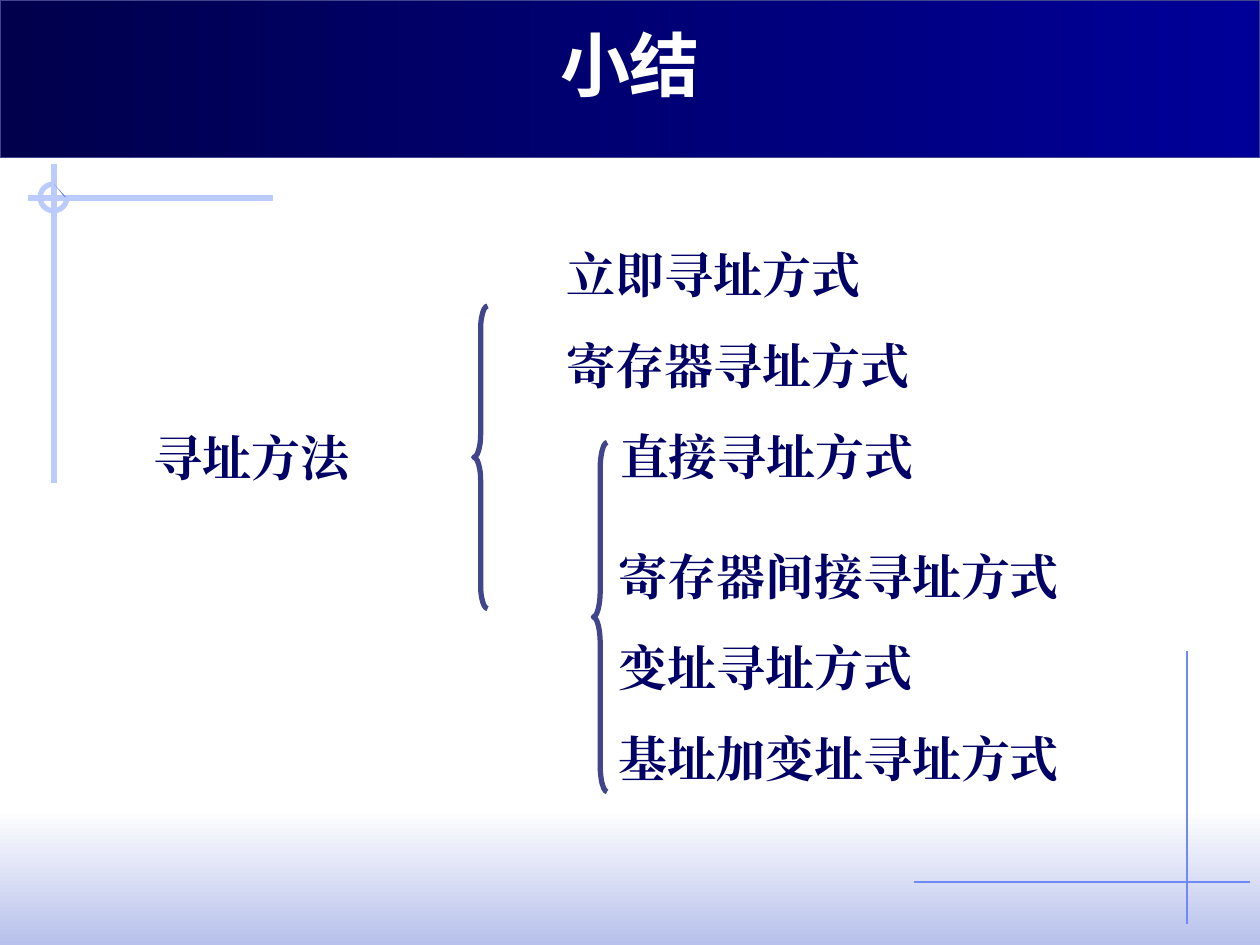
from lxml.etree import SubElement
from pptx import Presentation
from pptx.dml.color import RGBColor
from pptx.enum.shapes import MSO_CONNECTOR, MSO_SHAPE
from pptx.enum.text import MSO_ANCHOR, MSO_AUTO_SIZE, PP_ALIGN
from pptx.oxml.ns import qn
from pptx.util import Cm, Pt

WHITE = RGBColor(0xFF, 0xFF, 0xFF)
MIST = RGBColor(0xB7, 0xC1, 0xEB)
PALE = RGBColor(0xBB, 0xCB, 0xFD)
SKY = RGBColor(0x6F, 0x89, 0xF7)
SLATE = RGBColor(0x40, 0x45, 0x8C)
INK = RGBColor(0x00, 0x00, 0x66)
MIDNIGHT = RGBColor(0x00, 0x00, 0x4D)
NAVY = RGBColor(0x00, 0x00, 0x99)

TITLE_FONT = "Noto Sans CJK JP"
BODY_FONT = "Times New Roman"
WIDTH, HEIGHT = 25.4, 19.05
CHAR_WIDTH, LABEL_HEIGHT = 1.14, 1.19
ROW_PITCH = 1.83


class SlideBuilder:
    body_size = 28
    title_size = 40

    def __init__(self, prs):
        self.slide = prs.slides.add_slide(prs.slide_layouts[5])
        self.shapes = self.slide.shapes

    def run(self, p, text, size, font, color):
        r = p.add_run()
        r.text = text
        r.font.size, r.font.name, r.font.bold = Pt(size), font, True
        r.font.color.rgb = color
        SubElement(r.font._element, qn("a:ea")).set("typeface", font)

    def title(self, text, x, y, w, h):
        sp = self.shapes.title
        sp.left, sp.top, sp.width, sp.height = Cm(x), Cm(y), Cm(w), Cm(h)
        # bring the title in front of the header band
        self.shapes._spTree.append(sp._element)
        tf = sp.text_frame
        tf.auto_size = MSO_AUTO_SIZE.NONE
        tf.vertical_anchor = MSO_ANCHOR.MIDDLE
        p = tf.paragraphs[0]
        p.alignment = PP_ALIGN.CENTER
        self.run(p, text, self.title_size, TITLE_FONT, WHITE)

    def label(self, text, x, y):
        sp = self.shapes.add_textbox(Cm(x), Cm(y), Cm(CHAR_WIDTH * len(text)),
                                     Cm(LABEL_HEIGHT))
        tf = sp.text_frame
        tf.word_wrap = True
        tf.auto_size = MSO_AUTO_SIZE.SHAPE_TO_FIT_TEXT
        tf.margin_left = tf.margin_right = tf.margin_top = tf.margin_bottom = 0
        self.run(tf.paragraphs[0], text, self.body_size, BODY_FONT, INK)

    def band(self, y, h, start, end, angle, border=None):
        """Full-width rectangle with a two-colour gradient."""
        sp = self.shapes.add_shape(MSO_SHAPE.RECTANGLE, 0, Cm(y), Cm(WIDTH), Cm(h))
        sp.shadow.inherit = False
        sp.fill.gradient()
        sp.fill.gradient_angle = angle
        for stop, color, position in zip(sp.fill.gradient_stops, (start, end), (0, 1)):
            stop.color.rgb = color
            stop.position = position
        if border is None:
            sp.line.fill.background()
        else:
            sp.line.color.rgb, sp.line.width = border, Pt(0.75)

    def outline(self, kind, x, y, w, h, color, adjustments):
        """Unfilled preset shape with a 3 pt line."""
        sp = self.shapes.add_shape(kind, Cm(x), Cm(y), Cm(w), Cm(h))
        sp.shadow.inherit = False
        for i, value in enumerate(adjustments):
            sp.adjustments[i] = value
        sp.fill.background()
        sp.line.color.rgb, sp.line.width = color, Pt(3)

    def line(self, x1, y1, x2, y2, color, width):
        cxn = self.shapes.add_connector(MSO_CONNECTOR.STRAIGHT,
                                        Cm(x1), Cm(y1), Cm(x2), Cm(y2))
        cxn.line.color.rgb, cxn.line.width = color, Pt(width)
        SubElement(cxn._element.spPr, qn("a:effectLst"))

    def polygon(self, points, color):
        start, *rest = [(Cm(x), Cm(y)) for x, y in points]
        builder = self.shapes.build_freeform(*start)
        builder.add_line_segments(rest, close=True)
        sp = builder.convert_to_shape()
        sp.shadow.inherit = False
        sp.fill.solid()
        sp.fill.fore_color.rgb = color
        sp.line.fill.background()


def main():
    prs = Presentation()
    prs.slide_width, prs.slide_height = Cm(WIDTH), Cm(HEIGHT)
    s = SlideBuilder(prs)

    s.band(16.31, HEIGHT - 16.31, WHITE, MIST, 270)
    s.line(23.93, 13.13, 23.93, 18.62, SKY, 0.75)
    s.line(5.51, 3.99, 0.56, 3.99, PALE, 3)
    s.line(1.09, 3.3, 1.09, 9.73, PALE, 3)
    s.polygon([(1.09, 3.71), (1.35, 3.99), (1.37, 4.06)], SKY)
    # three-quarter ring, open at the upper right
    s.outline(MSO_SHAPE.ARC, 0.81, 3.71, 0.54, 0.54, PALE, (0, 162))
    s.band(0, 3.18, MIDNIGHT, NAVY, 0, SLATE)
    s.line(18.42, 17.78, 25.2, 17.78, SKY, 0.75)
    s.title("小结", 1.27, 0.28, 22.86, 2.01)

    s.label("寻址方法", 3.1, 8.61)
    s.outline(MSO_SHAPE.LEFT_BRACE, 9.55, 6.17, 0.28, 6.1, SLATE, (1.66, 0.5))
    mode_groups = [
        (11.43, 4.93, ["立即寻址方式", "寄存器寻址方式"]),
        (12.5, 8.59, ["直接寻址方式"]),
        (12.47, 11.02, ["寄存器间接寻址方式", "变址寻址方式", "基址加变址寻址方式"]),
    ]
    for x, top, modes in mode_groups:
        for row, mode in enumerate(modes):
            s.label(mode, x, top + row * ROW_PITCH)
    s.outline(MSO_SHAPE.LEFT_BRACE, 11.96, 8.92, 0.28, 7.04, SLATE, (1.91, 0.5))

    prs.save("out.pptx")


if __name__ == "__main__":
    main()
